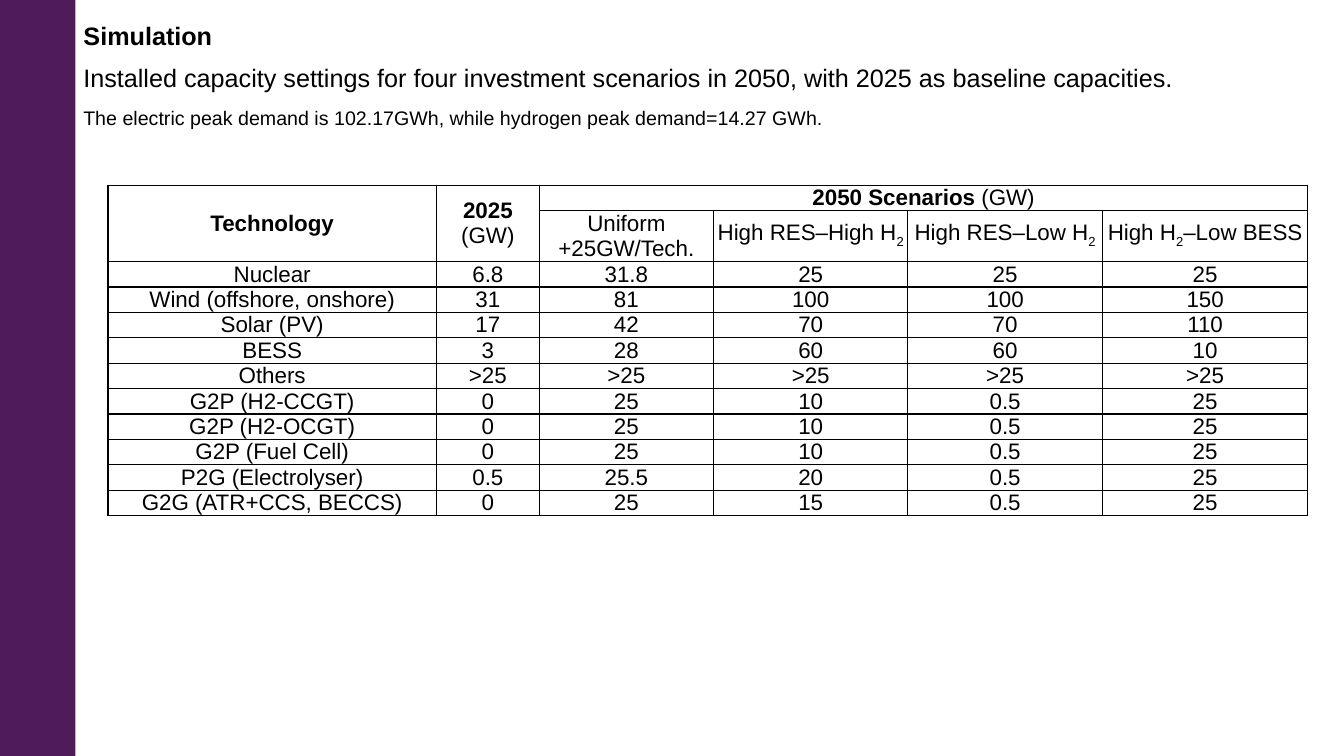
from lxml.etree import SubElement
from pptx import Presentation
from pptx.dml.color import RGBColor
from pptx.enum.shapes import MSO_SHAPE
from pptx.enum.text import MSO_ANCHOR, MSO_AUTO_SIZE, PP_ALIGN
from pptx.oxml.ns import qn
from pptx.util import Cm, Pt

BLACK, WHITE, PURPLE = "000000", "FFFFFF", "4F1B59"
COL_WIDTHS = [8.28, 2.59, 4.39, 4.9, 4.9, 5.18]
ROW_HEIGHT = 0.64

# Header cells: (row, column) -> paragraphs of (text, style) runs
HEADERS = {
    (0, 0): [[("Technology", "bold")]],
    (0, 1): [[("2025", "bold")], [("(GW)", "")]],
    (0, 2): [[("2050 Scenarios ", "bold"), ("(GW)", "")]],
    (1, 2): [[("Uniform +25GW/Tech.", "")]],
    (1, 3): [[("High RES–High H", ""), ("2", "sub")]],
    (1, 4): [[("High RES–Low H", ""), ("2", "sub")]],
    (1, 5): [[("High H", ""), ("2", "sub"), ("–Low BESS", "")]],
}
CAPACITIES = [
    ("Nuclear", "6.8", "31.8", "25", "25", "25"),
    ("Wind (offshore, onshore)", "31", "81", "100", "100", "150"),
    ("Solar (PV)", "17", "42", "70", "70", "110"),
    ("BESS", "3", "28", "60", "60", "10"),
    ("Others", ">25", ">25", ">25", ">25", ">25"),
    ("G2P (H2-CCGT)", "0", "25", "10", "0.5", "25"),
    ("G2P (H2-OCGT)", "0", "25", "10", "0.5", "25"),
    ("G2P (Fuel Cell)", "0", "25", "10", "0.5", "25"),
    ("P2G (Electrolyser)", "0.5", "25.5", "20", "0.5", "25"),
    ("G2G (ATR+CCS, BECCS)", "0", "25", "15", "0.5", "25"),
]


def color(value):
    return RGBColor.from_string(value)


def set_font(p, size, bold=False):
    p.font.name = "Arial"
    p.font.size = Pt(size)
    p.font.bold = bold
    p.font.color.rgb = color(BLACK)


def add_sidebar(slide, left, top, width, height):
    sp = slide.shapes.add_shape(MSO_SHAPE.RECTANGLE, Cm(left), Cm(top), Cm(width), Cm(height))
    sp.shadow.inherit = False
    sp.fill.solid()
    sp.fill.fore_color.rgb = color(PURPLE)
    sp.line.fill.background()


def place_title(slide, left, top, width, height, text):
    sp = slide.shapes.title
    sp.left, sp.top, sp.width, sp.height = Cm(left), Cm(top), Cm(width), Cm(height)
    tf = sp.text_frame
    tf.text = text
    tf.auto_size = MSO_AUTO_SIZE.NONE
    tf.vertical_anchor = MSO_ANCHOR.TOP
    p = tf.paragraphs[0]
    p.alignment = PP_ALIGN.JUSTIFY
    set_font(p, 18, bold=True)


def add_line_of_text(slide, left, top, width, height, text, size):
    tf = slide.shapes.add_textbox(Cm(left), Cm(top), Cm(width), Cm(height)).text_frame
    tf.word_wrap = True
    tf.text = text
    set_font(tf.paragraphs[0], size)


def add_borders(cell):
    tcPr = cell._tc.get_or_add_tcPr()
    for side in ("a:lnL", "a:lnR", "a:lnT", "a:lnB"):
        ln = SubElement(tcPr, qn(side), w=str(Pt(1)))
        fill = SubElement(ln, qn("a:solidFill"))
        SubElement(fill, qn("a:srgbClr"), val=BLACK)


def fill_cell(cell, paragraphs):
    add_borders(cell)
    cell.fill.solid()
    cell.fill.fore_color.rgb = color(WHITE)
    cell.margin_left = cell.margin_right = cell.margin_top = cell.margin_bottom = 0
    cell.vertical_anchor = MSO_ANCHOR.MIDDLE
    tf = cell.text_frame
    for i, runs in enumerate(paragraphs):
        p = tf.add_paragraph() if i else tf.paragraphs[0]
        p.alignment = PP_ALIGN.CENTER
        p.line_spacing = Pt(18)
        set_font(p, 16)
        for text, style in runs:
            r = p.add_run()
            r.text = text
            if style == "bold":
                r.font.bold = True
            elif style == "sub":
                r.font._element.set("baseline", "-25000")


def add_capacity_table(slide, left, top):
    n_rows, n_cols = len(CAPACITIES) + 2, len(COL_WIDTHS)
    table = slide.shapes.add_table(
        n_rows, n_cols, Cm(left), Cm(top),
        Cm(sum(COL_WIDTHS)), Cm(ROW_HEIGHT * (n_rows + 1))).table
    table.first_row = table.horz_banding = False
    for col, width in zip(table.columns, COL_WIDTHS):
        col.width = Cm(width)
    # The scenario names need two lines
    for i, row in enumerate(table.rows):
        row.height = Cm(ROW_HEIGHT * (2 if i == 1 else 1))

    for i in range(n_rows):
        for j in range(n_cols):
            if i < 2:
                paragraphs = HEADERS.get((i, j), [[]])
            else:
                paragraphs = [[(CAPACITIES[i - 2][j], "")]]
            fill_cell(table.cell(i, j), paragraphs)

    # Merged headers
    table.cell(0, 0).merge(table.cell(1, 0))
    table.cell(0, 1).merge(table.cell(1, 1))
    table.cell(0, 2).merge(table.cell(0, n_cols - 1))


def build_simulation_slide(prs):
    slide = prs.slides.add_slide(prs.slide_layouts[5])
    add_sidebar(slide, 0, 0, 1.9, 19.05)
    left = 1.85
    place_title(slide, left, 0.38, 6.73, 1.02, "Simulation")
    add_capacity_table(slide, 2.72, 4.67)
    add_line_of_text(
        slide, left, 1.45, 28.73, 1.02,
        "Installed capacity settings for four investment scenarios in 2050, "
        "with 2025 as baseline capacities.", 18)
    add_line_of_text(
        slide, left, 2.54, 25.83, 0.86,
        "The electric peak demand is 102.17GWh, while hydrogen peak demand=14.27 GWh.", 14)


def main():
    prs = Presentation()
    prs.slide_width, prs.slide_height = Cm(33.87), Cm(19.05)
    build_simulation_slide(prs)
    prs.save("out.pptx")


if __name__ == "__main__":
    main()
